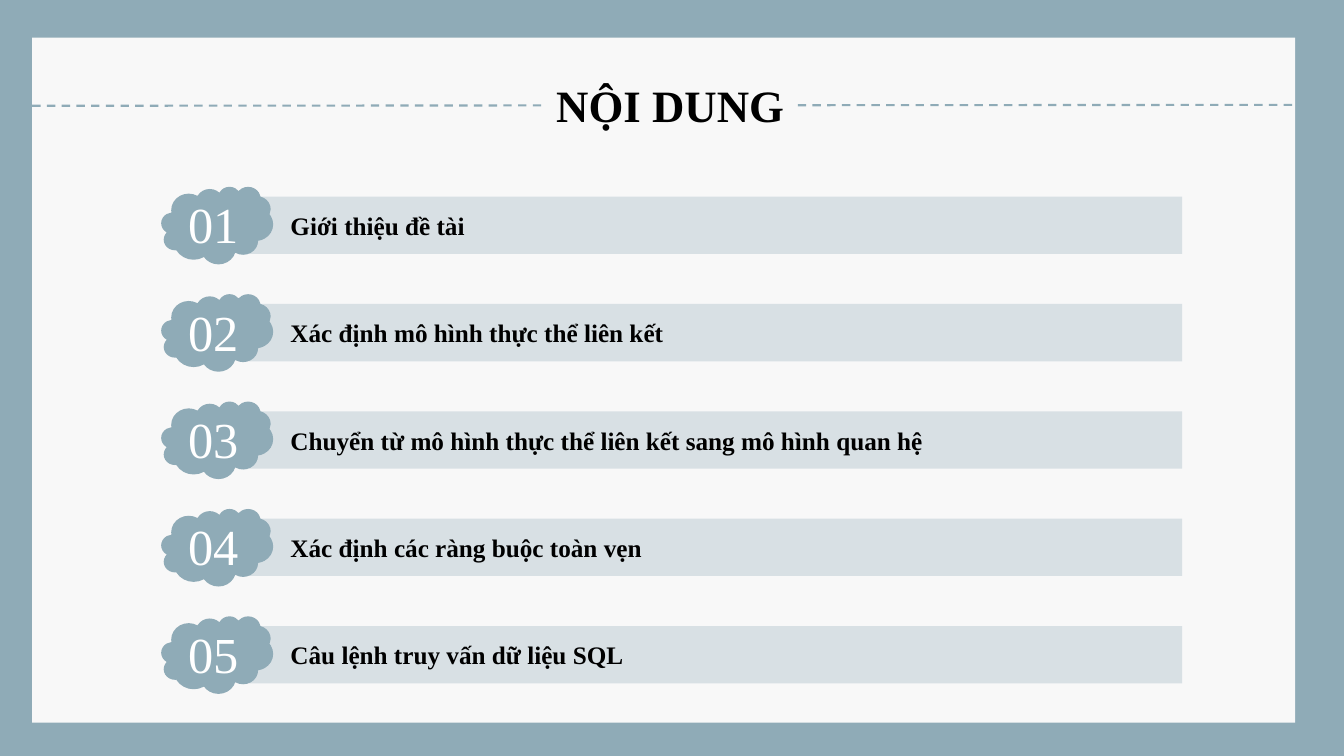
import dataclasses

import lxml.etree
import pptx
import pptx.dml.color
import pptx.enum.dml
import pptx.enum.shapes
import pptx.enum.text
import pptx.oxml.ns
import pptx.shapes.autoshape
import pptx.util

Pt = pptx.util.Pt
RGBColor = pptx.dml.color.RGBColor
MSO_SHAPE = pptx.enum.shapes.MSO_SHAPE
PP_ALIGN = pptx.enum.text.PP_ALIGN
MSO_ANCHOR = pptx.enum.text.MSO_ANCHOR
qn = pptx.oxml.ns.qn

BLUE = RGBColor(0x8F, 0xAB, 0xB7)
PAPER = RGBColor(0xF8, 0xF8, 0xF8)
BLACK = RGBColor(0, 0, 0)
WHITE = RGBColor(0xFF, 0xFF, 0xFF)
FONT = "Times New Roman"

FIRST_BAR_TOP = 140.4
ROW_PITCH = 76.7
CLOUD_RISE = 7.1
BAR_OPACITY = 30
BAR_TEXT_INDENT = 29.7


@dataclasses.dataclass(frozen=True)
class Box:
    left: float
    top: float
    width: float
    height: float

    def lengths(self) -> tuple:
        return tuple(Pt(value) for value in dataclasses.astuple(self))


@dataclasses.dataclass(frozen=True)
class AgendaItem:
    number: str
    topic: str


AGENDA = [
    AgendaItem("01", "Giới thiệu đề tài"),
    AgendaItem("02", "Xác định mô hình thực thể liên kết"),
    AgendaItem("03", "Chuyển từ mô hình thực thể liên kết sang mô hình quan hệ"),
    AgendaItem("04", "Xác định các ràng buộc toàn vẹn"),
    AgendaItem("05", "Câu lệnh truy vấn dữ liệu SQL"),
]


def add_filled_shape(shapes, kind: MSO_SHAPE, box: Box,
                     color: RGBColor) -> pptx.shapes.autoshape.Shape:
    shape = shapes.add_shape(kind, *box.lengths())
    shape.shadow.inherit = False
    shape.fill.solid()
    shape.fill.fore_color.rgb = color
    shape.line.fill.background()
    return shape


def write_text(shape, text: str, size: float, color: RGBColor, bold: bool,
               alignment: PP_ALIGN, anchor: MSO_ANCHOR) -> None:
    shape.text_frame.vertical_anchor = anchor
    paragraph = shape.text_frame.paragraphs[0]
    paragraph.alignment = alignment
    run = paragraph.add_run()
    run.text = text
    run.font.name = FONT
    run.font.size = Pt(size)
    run.font.bold = bold
    run.font.color.rgb = color


def set_opacity(shape, percent: int) -> None:
    color = shape._element.spPr.find(qn("a:solidFill"))[0]
    lxml.etree.SubElement(color, qn("a:alpha"), val=str(percent * 1000))


def add_agenda_row(slide, item: AgendaItem, bar_top: float) -> None:
    group = slide.shapes.add_group_shape()

    bar = add_filled_shape(group.shapes, MSO_SHAPE.RECTANGLE,
                           Box(177.8, bar_top, 666.7, 41), BLUE)
    set_opacity(bar, BAR_OPACITY)
    bar.text_frame.margin_left = Pt(BAR_TEXT_INDENT)
    write_text(bar, item.topic, 18, BLACK, True, PP_ALIGN.LEFT, MSO_ANCHOR.MIDDLE)

    cloud = add_filled_shape(group.shapes, MSO_SHAPE.CLOUD,
                             Box(115.2, bar_top - CLOUD_RISE, 79.9, 55.4), BLUE)
    write_text(cloud, item.number, 36, WHITE, False, PP_ALIGN.CENTER, MSO_ANCHOR.MIDDLE)


def add_title(slide) -> None:
    # Dashed rule, interrupted by the title's own background
    rule = slide.shapes.add_connector(pptx.enum.shapes.MSO_CONNECTOR.STRAIGHT,
                                      Pt(23), Pt(75.6), Pt(925.2), Pt(74.9))
    rule.line.color.rgb = BLUE
    rule.line.width = Pt(1.5)
    rule.line.dash_style = pptx.enum.dml.MSO_LINE.DASH
    lxml.etree.SubElement(rule._element.spPr, qn("a:effectLst"))

    title = slide.shapes.add_textbox(*Box(390.2, 51.8, 178.6, 46.1).lengths())
    title.fill.solid()
    title.fill.fore_color.rgb = PAPER
    title.text_frame.word_wrap = False
    title.text_frame.auto_size = pptx.enum.text.MSO_AUTO_SIZE.SHAPE_TO_FIT_TEXT
    write_text(title, "NỘI DUNG", 32, BLACK, True, PP_ALIGN.LEFT, MSO_ANCHOR.TOP)


def main() -> None:
    presentation = pptx.Presentation()
    presentation.slide_width = Pt(960)
    presentation.slide_height = Pt(540)
    slide = presentation.slides.add_slide(presentation.slide_layouts[6])

    # Frame colour and paper panel
    slide.background.fill.solid()
    slide.background.fill.fore_color.rgb = BLUE
    add_filled_shape(slide.shapes, MSO_SHAPE.RECTANGLE,
                     Box(23, 26.8, 902.2, 489.4), PAPER)

    add_title(slide)

    # Agenda rows at an equal pitch
    for index, item in enumerate(AGENDA):
        add_agenda_row(slide, item, FIRST_BAR_TOP + index * ROW_PITCH)

    presentation.save("out.pptx")


if __name__ == "__main__":
    main()
